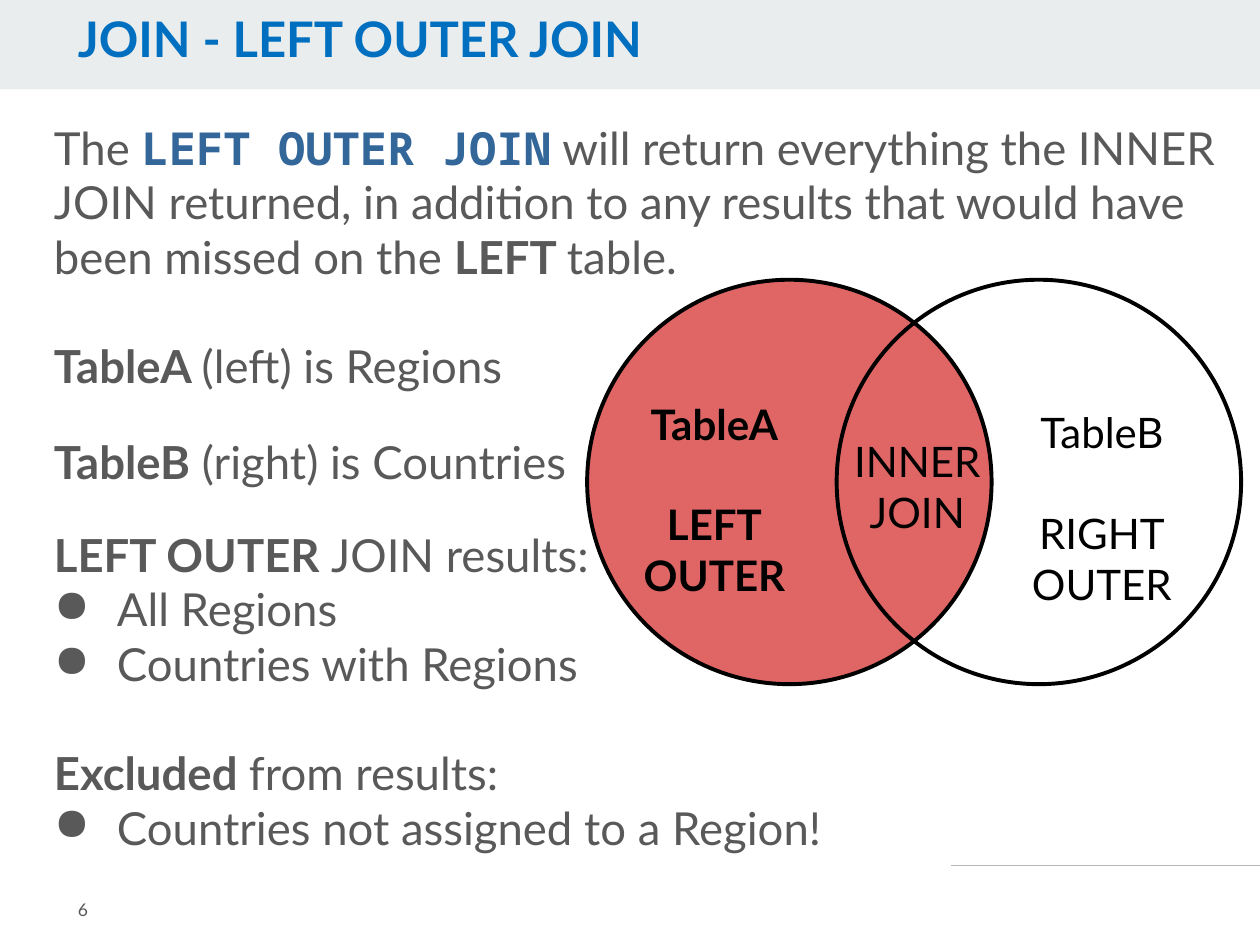
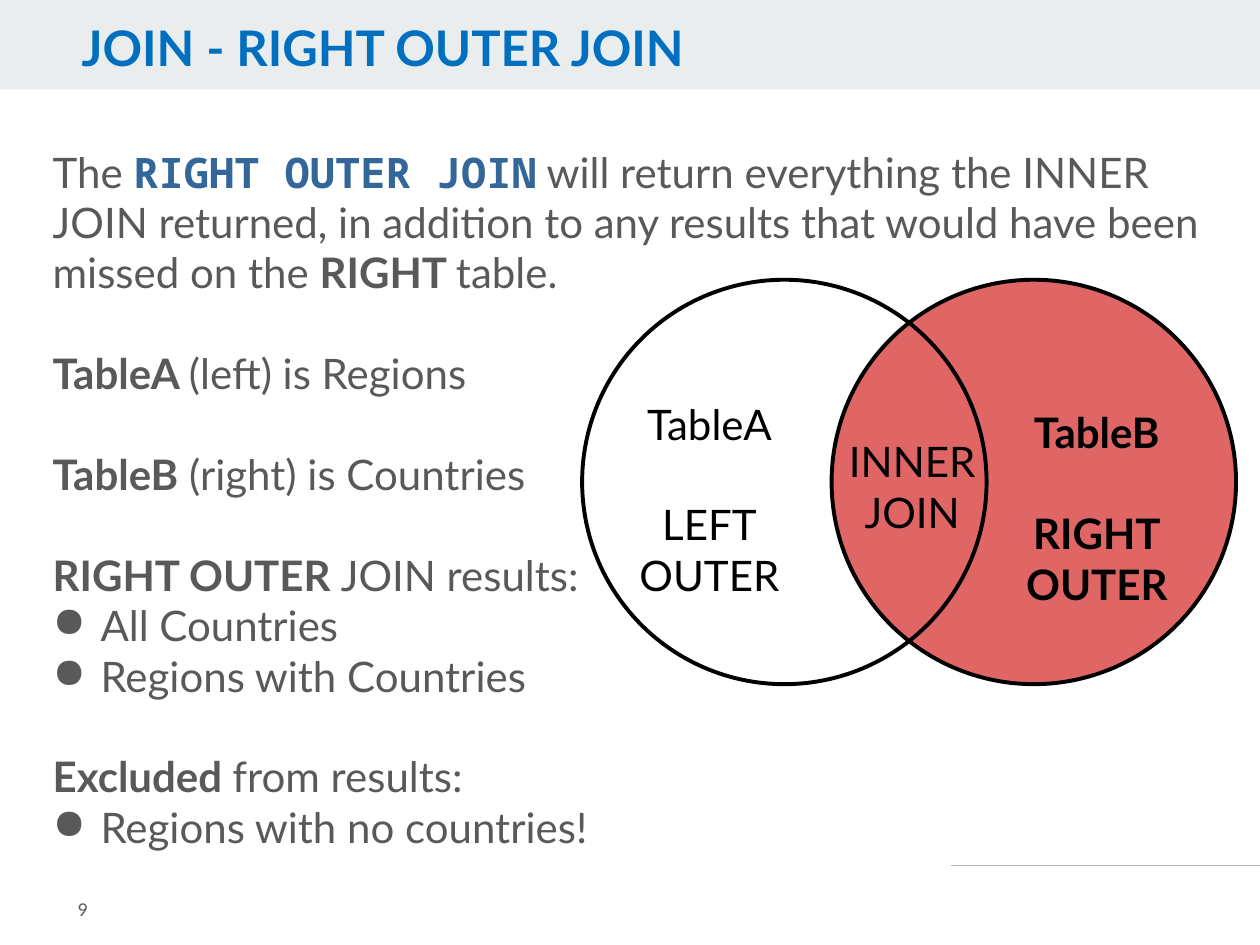
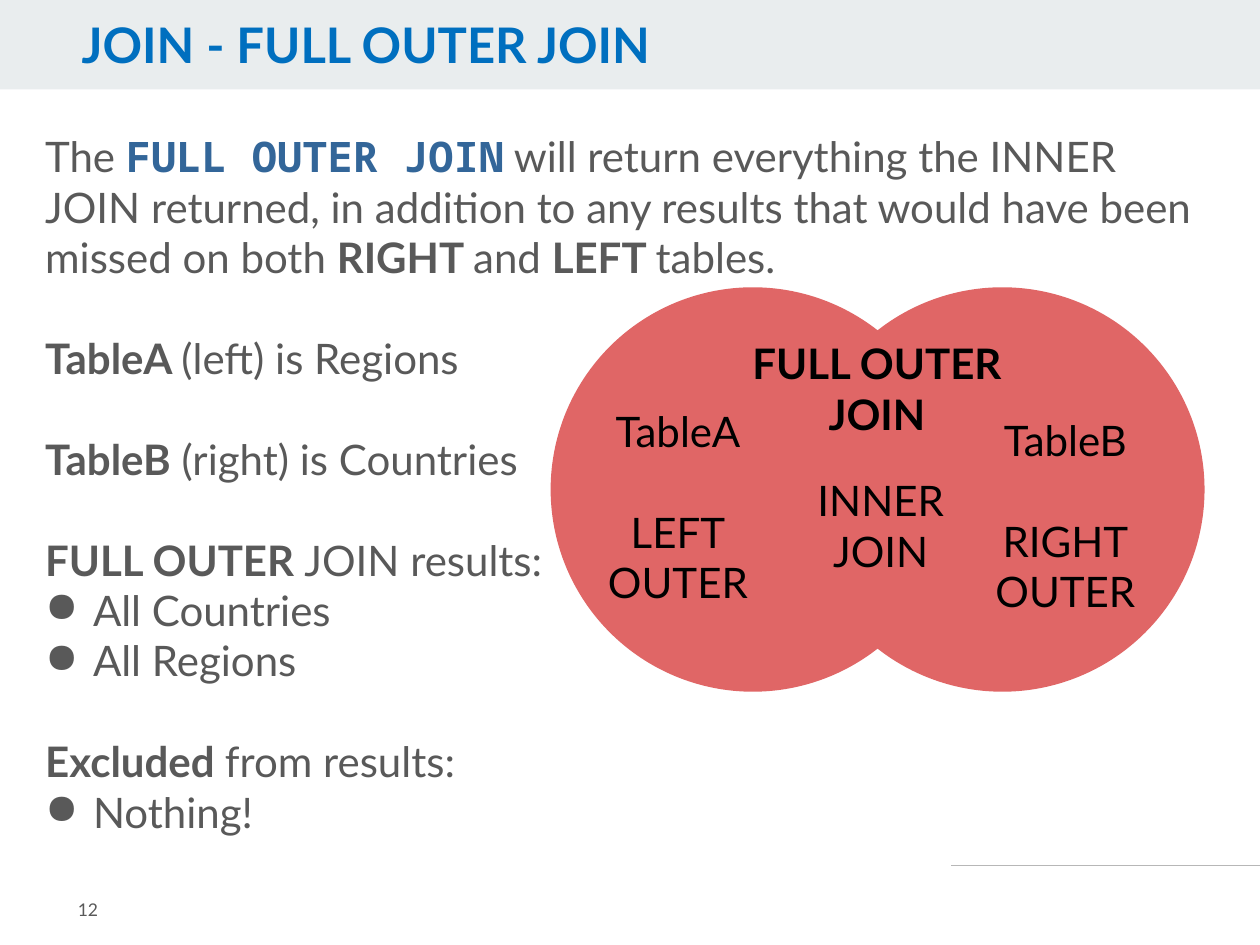
"""Build three slides on the LEFT, RIGHT and FULL outer joins."""
from lxml.etree import SubElement
from pptx import Presentation
from pptx.dml.color import RGBColor
from pptx.enum.shapes import MSO_CONNECTOR, MSO_SHAPE
from pptx.enum.text import MSO_ANCHOR, PP_ALIGN
from pptx.oxml.ns import qn
from pptx.util import Inches, Pt

TITLE_BLUE = RGBColor(0x00, 0x6F, 0xBF)
CODE_BLUE = RGBColor(0x33, 0x66, 0x99)
BODY_GREY = RGBColor(0x59, 0x59, 0x59)
BAND_GREY = RGBColor(0xE9, 0xED, 0xEE)
RULE_GREY = RGBColor(0xB7, 0xB7, 0xB7)
JOIN_RED = RGBColor(0xE0, 0x66, 0x66)
BLACK = RGBColor(0x00, 0x00, 0x00)

PLAIN = {"name": "Lato", "bold": False, "color": BODY_GREY}
BOLD = {**PLAIN, "bold": True}
CODE = {"name": "Noto Sans Mono", "bold": True, "color": CODE_BLUE}
TITLE = {"name": "Lato", "bold": True, "color": TITLE_BLUE}
LABEL = {"name": "Lato", "bold": False, "color": BLACK}

LINE_HEIGHT = 1.2
LABEL_SIZE = 24
CIRCLE = 3.21
CIRCLE_STEP = 1.98

SLIDES = [
    {
        "join": "LEFT", "number": "6", "title_at": (0.52, 0.07),
        "body_at": (0.33, 0.9, 9.43, 5.87), "size": 26, "gaps": (26, 20, 18, 26),
        "indent": 0.5, "diagram_at": (4.66, 2.22),
        "missed": [("the ", PLAIN), ("LEFT ", BOLD), ("table.", PLAIN)],
        "results": ["All Regions", "Countries with Regions"],
        "excluded": "Countries not assigned to a Region!",
    },
    {
        "join": "RIGHT", "number": "9", "title_at": (0.55, 0.14),
        "body_at": (0.32, 1.11, 9.3, 5.73), "size": 24, "gaps": (24, 24, 24, 24),
        "indent": 0.38, "diagram_at": (4.62, 2.22),
        "missed": [("the ", PLAIN), ("RIGHT ", BOLD), ("table.", PLAIN)],
        "results": ["All Countries", "Regions with Countries"],
        "excluded": "Regions with no countries!",
    },
    {
        "join": "FULL", "number": "12", "title_at": (0.55, 0.12),
        "body_at": (0.26, 0.99, 9.49, 5.79), "size": 24, "gaps": (24, 24, 24, 24),
        "indent": 0.38, "diagram_at": (4.37, 2.28),
        "missed": [("both ", PLAIN), ("RIGHT ", BOLD), ("and ", PLAIN),
                   ("LEFT ", BOLD), ("tables.", PLAIN)],
        "results": ["All Countries", "All Regions"],
        "excluded": "Nothing!",
    },
]


def add_text_frame(shapes, place, vertical_inset):
    frame = shapes.add_textbox(*map(Inches, place)).text_frame
    frame.word_wrap = True
    margins = {"margin_left": 0.1, "margin_right": 0.1,
               "margin_top": vertical_inset, "margin_bottom": vertical_inset}
    for name, value in margins.items():
        setattr(frame, name, Inches(value))
    return frame


def format_runs(paragraph, style, size):
    for run in paragraph.runs:
        run.font.size = Pt(size)
        run.font.color.rgb = style["color"]
        for name in ("name", "bold"):
            setattr(run.font, name, style[name])


def add_line(frame, text, style, size, gap=0):
    paragraph = frame.paragraphs[0] if not frame.text else frame.add_paragraph()
    paragraph.text = text
    format_runs(paragraph, style, size)
    if gap:
        paragraph.space_before = Pt(gap * LINE_HEIGHT)
    return paragraph


def add_bullet(paragraph, indent):
    properties = paragraph._p.get_or_add_pPr()
    properties.set("marL", str(Inches(indent)))
    properties.set("indent", str(Inches(-indent)))
    color = SubElement(properties, qn("a:buClr"))
    SubElement(color, qn("a:srgbClr"), val=str(BODY_GREY))
    SubElement(properties, qn("a:buChar"), char="●")


def add_frame(slide, content):
    rule = slide.shapes.add_connector(
        MSO_CONNECTOR.STRAIGHT, Inches(7.55), Inches(6.87), Inches(10), Inches(6.87))
    rule.line.color.rgb = RULE_GREY
    rule.line.width = Pt(0.75)
    SubElement(rule._element.spPr, qn("a:effectLst"))
    band = slide.shapes.add_shape(MSO_SHAPE.RECTANGLE, 0, 0, Inches(10), Inches(0.71))
    band.shadow.inherit = False
    band.fill.solid()
    band.fill.fore_color.rgb = BAND_GREY
    band.line.fill.background()
    title = add_text_frame(slide.shapes, (*content["title_at"], 7.88, 0.55), 0.05)
    add_line(title, f"JOIN - {content['join']} OUTER JOIN", TITLE, 28).line_spacing = 0.9
    number = add_text_frame(slide.shapes, (0.52, 6.93, 1.23, 0.57), 0.1)
    number.vertical_anchor = MSO_ANCHOR.MIDDLE
    add_line(number, content["number"], PLAIN, 10)


def add_body(slide, content):
    join, size = content["join"], content["size"]
    gap_a, gap_b, gap_results, gap_excluded = content["gaps"]
    intro = [("The ", PLAIN), (f"{join} OUTER JOIN", CODE),
             (" will return everything the INNER JOIN returned, in addition to any "
              "results that would have been missed on ", PLAIN), *content["missed"]]
    lines = [
        (0, intro, False),
        (gap_a, [("TableA ", BOLD), ("(left) is Regions", PLAIN)], False),
        (gap_b, [("TableB", BOLD), (" (right) is Countries", PLAIN)], False),
        (gap_results, [(f"{join} OUTER ", BOLD), ("JOIN results:", PLAIN)], False),
        *[(0, [(result, PLAIN)], True) for result in content["results"]],
        (gap_excluded, [("Excluded ", BOLD), ("from results:", PLAIN)], False),
        (0, [(content["excluded"], PLAIN)], True),
    ]
    frame = add_text_frame(slide.shapes, content["body_at"], 0.05)
    for gap, runs, bulleted in lines:
        paragraph = add_line(frame, "", PLAIN, size, gap)
        if bulleted:
            add_bullet(paragraph, content["indent"])
        for text, style in runs:
            run = paragraph.add_run()
            run.text = text
            run.font.size = Pt(size)
            run.font.color.rgb = style["color"]
            run.font.name = style["name"]
            run.font.bold = style["bold"]


def add_circle(shapes, left, top, filled, outlined):
    circle = shapes.add_shape(
        MSO_SHAPE.OVAL, Inches(left), Inches(top), Inches(CIRCLE), Inches(CIRCLE))
    circle.shadow.inherit = False
    if filled:
        circle.fill.solid()
        circle.fill.fore_color.rgb = JOIN_RED
    else:
        circle.fill.background()
    if outlined:
        circle.line.color.rgb = BLACK
        circle.line.width = Pt(2.25)
    else:
        circle.line.fill.background()


def add_diagram(slide, content):
    join = content["join"]
    full = join == "FULL"
    left, top = content["diagram_at"]
    shapes = slide.shapes.add_group_shape().shapes if full else slide.shapes
    sides = [("LEFT", left), ("RIGHT", left + CIRCLE_STEP)]
    for side, circle_left in sorted(sides, key=lambda item: item[0] != join):
        add_circle(shapes, circle_left, top, full or side == join, not full)
    labels = [
        (0.22, 0.84, 1.58, 1.1, ["TableA", "LEFT\vOUTER"], join == "LEFT"),
        (1.74, 1.39 if full else 1.14, 1.76, 0.93, ["INNER JOIN"], False),
        (3.26, 0.91, 1.65, 1.1, ["TableB", "RIGHT\vOUTER"], join == "RIGHT"),
    ]
    if full:
        labels.append((1.24, 0.3, 2.7, 0.93, ["FULL OUTER JOIN"], True))
    for across, down, width, height, texts, bold in labels:
        frame = add_text_frame(shapes, (left + across, top + down, width, height), 0.1)
        for index, text in enumerate(texts):
            paragraph = add_line(
                frame, text, {**LABEL, "bold": bold}, LABEL_SIZE, index * LABEL_SIZE)
            paragraph.alignment = PP_ALIGN.CENTER


def main():
    presentation = Presentation()
    presentation.slide_width = Inches(10)
    presentation.slide_height = Inches(7.5)
    for content in SLIDES:
        slide = presentation.slides.add_slide(presentation.slide_layouts[6])
        add_frame(slide, content)
        add_body(slide, content)
        add_diagram(slide, content)
    presentation.save("out.pptx")


if __name__ == "__main__":
    main()
